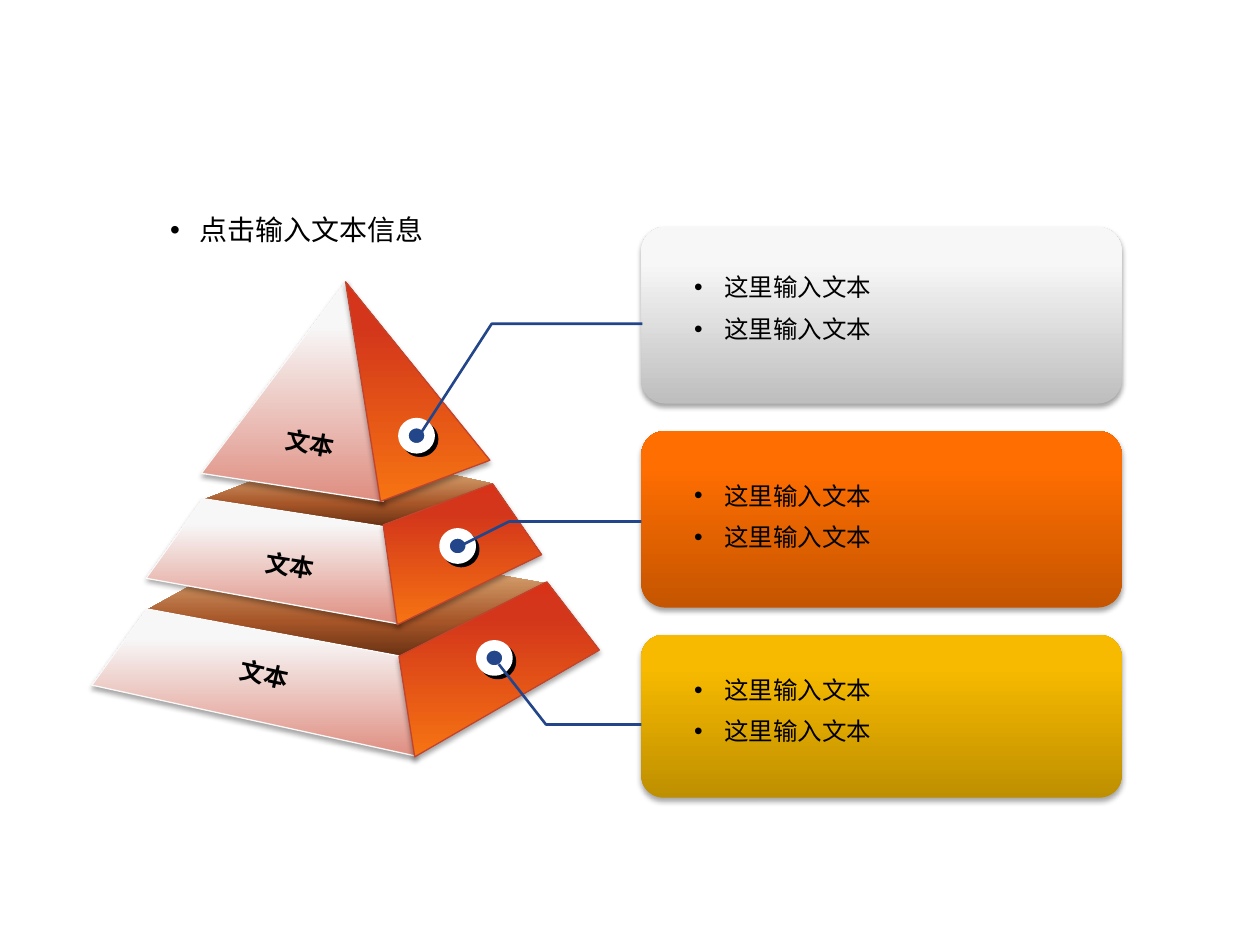
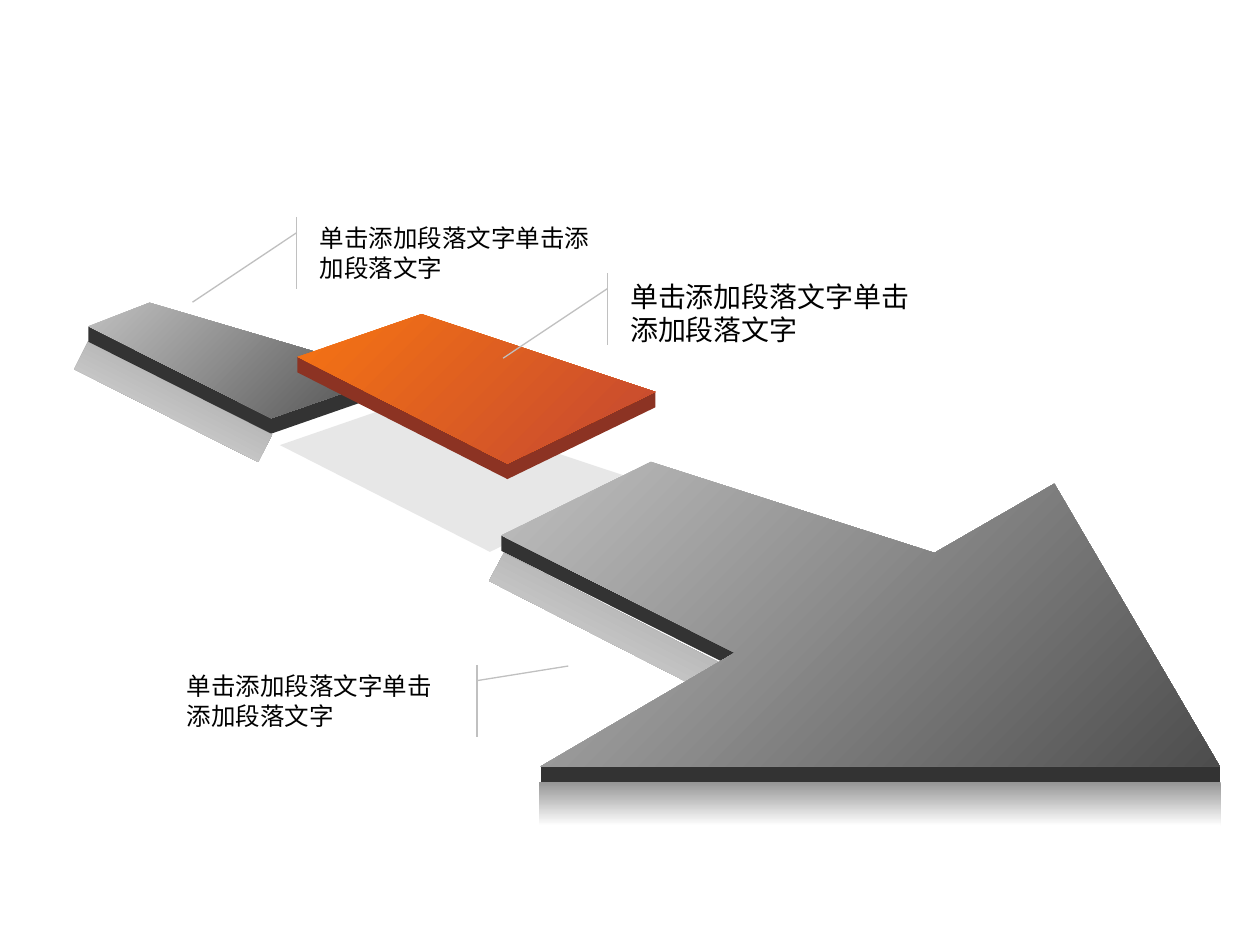
from lxml import etree
from pptx import Presentation
from pptx.dml.color import RGBColor
from pptx.enum import shapes, text
from pptx.oxml import ns
from pptx.util import Pt

FONT = "Arial"
HUES = {
    "ink": "000000", "blue": "23468B", "white": "FFFFFF", "pale": "F9F9F9",
    "brick": "C3432D", "silver": "C0C0C0", "coal": "333333", "rust": "8C3323",
}
# Gradient stops: percent, colour
FADES = {
    "lid": [(0, "D6B19C"), (30, "D49E6C"), (70, "A65528"), (100, "663012")],
    "front": [(0, "DF8E81"), (80, "F7F7F7"), (100, "F8F8F8")],
    "side": [(0, "F67412"), (80, "D3361B"), (100, "D83318")],
    "grey": [(0, "BEBEBE"), (80, "F7F7F7"), (100, "F8F8F8")],
    "orange": [(0, "C55500"), (80, "FF6E01"), (100, "FF6F02")],
    "gold": [(0, "BE8F00"), (80, "F7BA00"), (100, "F8BB00")],
    "steel": [(0, "C0C0C0"), (100, "4D4D4D")],
    "flame": [(0, "F67412"), (100, "C44732")],
    "haze": [(0, "969696"), (100, "E8E8E8")],
    "fog": [(0, "969696"), (100, "FFFFFF")],
}
DEPTH = 8.8

# Each tier, from the bottom up: lid, front and side outlines
TIERS = [
    {"lid": [(84, 348.5), (160, 306.5), (313, 333.5), (229, 376)],
     "front": [(84, 348), (229, 375), (237.5, 432), (52.5, 391.5)],
     "side": [(228, 375), (312.5, 332.5), (342.5, 371.5), (237, 432.5)]},
    {"lid": [(115, 286), (191.5, 256.5), (282, 276.5), (219, 301.5)],
     "front": [(116, 285), (219.5, 301), (227.5, 356.5), (83.5, 330.5)],
     "side": [(219, 300), (281.5, 276.5), (309.5, 317), (227, 357)]},
    {"front": [(198, 160.5), (115, 270.5), (219, 286.5)],
     "side": [(197.5, 161), (280, 263), (217.5, 286.5)]},
]
EDGES = {"lid": None, "front": "pale", "side": "brick"}
LABELS = [(102, 231, 9.7), (90.5, 301, 8.9), (75.5, 363, 12.1)]
CARDS = [("grey", 101, 152), ("orange", 101, 271), ("gold", 93, 382)]
# Path of each lead; its dot sits at the given centre
LEADS = [
    ((238, 249), [(240.5, 247.5), (281, 185), (367, 185)]),
    ((261.5, 312), [(263, 312), (291, 298), (366.5, 298)]),
    ((282.5, 376), [(285, 379.5), (312, 414), (366.5, 414)]),
]

PLATE = [(50.5, 186.5), (155, 239), (225.5, 214.5), (85.5, 173)]
TILE = [(170, 204), (290, 265), (374.5, 224), (241, 179.5)]
ARROW = [(286.5, 306), (420, 373), (309, 438), (697, 438),
         (602.5, 276.5), (534, 316), (372, 264)]
PLATE_CAST = [(50.5, 195), (155.5, 248.5), (147.5, 264), (42.5, 211)]
ARROW_CAST = [(288, 316), (425.5, 386), (417.5, 402.5), (279.5, 332)]
FLOOR_CAST = [(308, 447), (697.5, 447), (697.5, 472), (308, 472)]
NOTES = [
    (175.5, 124, 179, 14, (0.219, -0.033, 1.189, -0.366)),
    (353, 156, 179, 16, (0.219, -0.033, 1.189, -0.366)),
    (99.5, 380, 167, 14, (0.219, 1.036, 0.015, 1.349)),
]


def rgb(hue):
    return RGBColor.from_string(HUES[hue])


def node(parent, tag, **attrs):
    return etree.SubElement(parent, ns.qn("a:" + tag),
                            {key: str(val) for key, val in attrs.items()})


def paint(shape, hue):
    shape.fill.solid()
    shape.fill.fore_color.rgb = rgb(hue)


def blend(shape, fade, angle):
    """Fill with a linear gradient, the angle running clockwise."""
    shape.fill.background()
    props = shape.element.spPr
    grad = etree.Element(ns.qn("a:gradFill"), rotWithShape="1")
    stops = node(grad, "gsLst")
    for place, shade in FADES[fade]:
        stop = node(stops, "gs", pos=place * 1000)
        node(stop, "srgbClr", val=shade)
    node(grad, "lin", ang=angle * 60000, scaled=0)
    props.replace(props.find(ns.qn("a:noFill")), grad)


def edge(shape, hue=None, width=0.75):
    if hue is None:
        shape.line.fill.background()
    else:
        shape.line.color.rgb = rgb(hue)
        shape.line.width = Pt(width)


def shadow(shape, alpha=35, blur=3.1, dist=1.8, angle=90):
    effects = shape.element.spPr.find(ns.qn("a:effectLst"))
    cast = node(effects, "outerShdw", blurRad=Pt(blur), dist=Pt(dist),
                dir=angle * 60000, algn="ctr", rotWithShape=0)
    node(node(cast, "srgbClr", val=HUES["ink"]), "alpha", val=alpha * 1000)


def outline(slide, points, close=True):
    """Freeform through the points, without line or shadow."""
    first, *rest = [(Pt(x), Pt(y)) for x, y in points]
    pen = slide.shapes.build_freeform(*first)
    pen.add_line_segments(rest, close=close)
    shape = pen.convert_to_shape()
    shape.shadow.inherit = False
    edge(shape)
    return shape


def preset(slide, kind, *box):
    shape = slide.shapes.add_shape(kind, *map(Pt, box))
    shape.shadow.inherit = False
    return shape


def style(par, size, bold=False):
    for run in par.runs:
        run.font.name = FONT
        run.font.size = Pt(size)
        run.font.bold = bold
        run.font.color.rgb = rgb("ink")


def bullets(holder, box, words, size):
    holder.left, holder.top, holder.width, holder.height = map(Pt, box)
    frame = holder.text_frame
    frame.text = words
    frame.auto_size = text.MSO_AUTO_SIZE.NONE
    frame.vertical_anchor = text.MSO_ANCHOR.TOP
    for i, par in enumerate(frame.paragraphs):
        props = par._p.get_or_add_pPr()
        props.set("marL", str(Pt(17)))
        props.set("indent", str(Pt(-17)))
        node(props, "buFont", typeface=FONT)
        node(props, "buChar", char="•")
        par.space_before = Pt(size / 2 if i else 0)
        style(par, size)


def label(slide, left, top, turn):
    box = slide.shapes.add_textbox(Pt(left), Pt(top), Pt(151), Pt(44))
    box.rotation = turn
    frame = box.text_frame
    frame.word_wrap = True
    frame.vertical_anchor = text.MSO_ANCHOR.MIDDLE
    frame.text = "文本"
    par = frame.paragraphs[0]
    par.alignment = text.PP_ALIGN.CENTER
    style(par, 14, bold=True)


def tier(slide, faces):
    for face, points in faces.items():
        shape = outline(slide, points)
        blend(shape, face, 90 if face == "lid" else 270)
        if EDGES[face]:
            edge(shape, EDGES[face])
            shadow(shape)


def card(slide, top, height, fade):
    shape = preset(slide, shapes.MSO_SHAPE.ROUNDED_RECTANGLE,
                   366.5, top, 274.5, height)
    shape.adjustments[0] = 0.136
    blend(shape, fade, 270)
    edge(shape)
    shadow(shape)


def lead(slide, centre, points):
    """Ringed dot and the bent line from it to a card."""
    x, y = centre
    dot = preset(slide, shapes.MSO_SHAPE.OVAL, x - 7.5, y - 7.2, 15, 14.4)
    paint(dot, "blue")
    edge(dot, "white", 6)
    shadow(dot, 100, 0, 2.8, 45)
    line = outline(slide, points, close=False)
    line.fill.background()
    edge(line, "blue", 1.5)


def slab(slide, points, rims, fade, hue):
    """Tilted plate; rims are the runs of corners whose sides show."""
    for start, stop in rims:
        rim = points[start:stop]
        base = [(x, y + DEPTH) for x, y in reversed(rim)]
        paint(outline(slide, rim + base), hue)
    blend(outline(slide, points), fade, 45)


def note(slide, left, top, width, size, tail):
    shape = preset(slide, shapes.MSO_SHAPE.LINE_CALLOUT_1_ACCENT_BAR,
                   left, top, width, 41)
    for i, value in enumerate(tail):
        shape.adjustments[i] = value
    shape.fill.background()
    edge(shape, "silver")
    frame = shape.text_frame
    frame.word_wrap = True
    frame.vertical_anchor = text.MSO_ANCHOR.TOP
    frame.text = "单击添加段落文字单击添加段落文字"
    par = frame.paragraphs[0]
    par.alignment = text.PP_ALIGN.LEFT
    style(par, size)


def pyramid(deck):
    slide = deck.slides.add_slide(deck.slide_layouts.get_by_name("Comparison"))
    title, head, *lists = slide.placeholders
    title.element.getparent().remove(title.element)
    for faces in TIERS:
        tier(slide, faces)
    for i, (fade, height, top) in enumerate(CARDS):
        card(slide, 129.6 + 116.6 * i, height, fade)
    for centre, points in LEADS:
        lead(slide, centre, points)
    for spot in LABELS:
        label(slide, *spot)
    bullets(head, (90, 118, 236, 27), "点击输入文本信息", 16)
    for holder, (_, _, top) in zip(lists, CARDS):
        bullets(holder, (389.5, top, 219.5, 50), "这里输入文本\n这里输入文本", 14)
    # Lists lie on top of the cards
    for holder in [head, *lists]:
        slide.shapes.element.append(holder.element)


def arrow(deck):
    slide = deck.slides.add_slide(deck.slide_layouts.get_by_name("Blank"))
    blend(outline(slide, PLATE_CAST), "haze", 117)
    slab(slide, PLATE, [(0, 3)], "steel", "coal")
    shade = outline(slide, [(x - 10, y + 50.4) for x, y in TILE])
    paint(shade, "silver")
    tint = shade.element.spPr.find(".//" + ns.qn("a:srgbClr"))
    node(tint, "alpha", val=38000)
    slab(slide, TILE, [(0, 3)], "flame", "rust")
    for spot in NOTES:
        note(slide, *spot)
    blend(outline(slide, ARROW_CAST), "haze", 117)
    slab(slide, ARROW, [(0, 2), (2, 4)], "steel", "coal")
    blend(outline(slide, FLOOR_CAST), "fog", 90)


def main():
    deck = Presentation()
    deck.slide_width, deck.slide_height = Pt(720), Pt(540)
    pyramid(deck)
    arrow(deck)
    deck.save("out.pptx")


if __name__ == "__main__":
    main()
